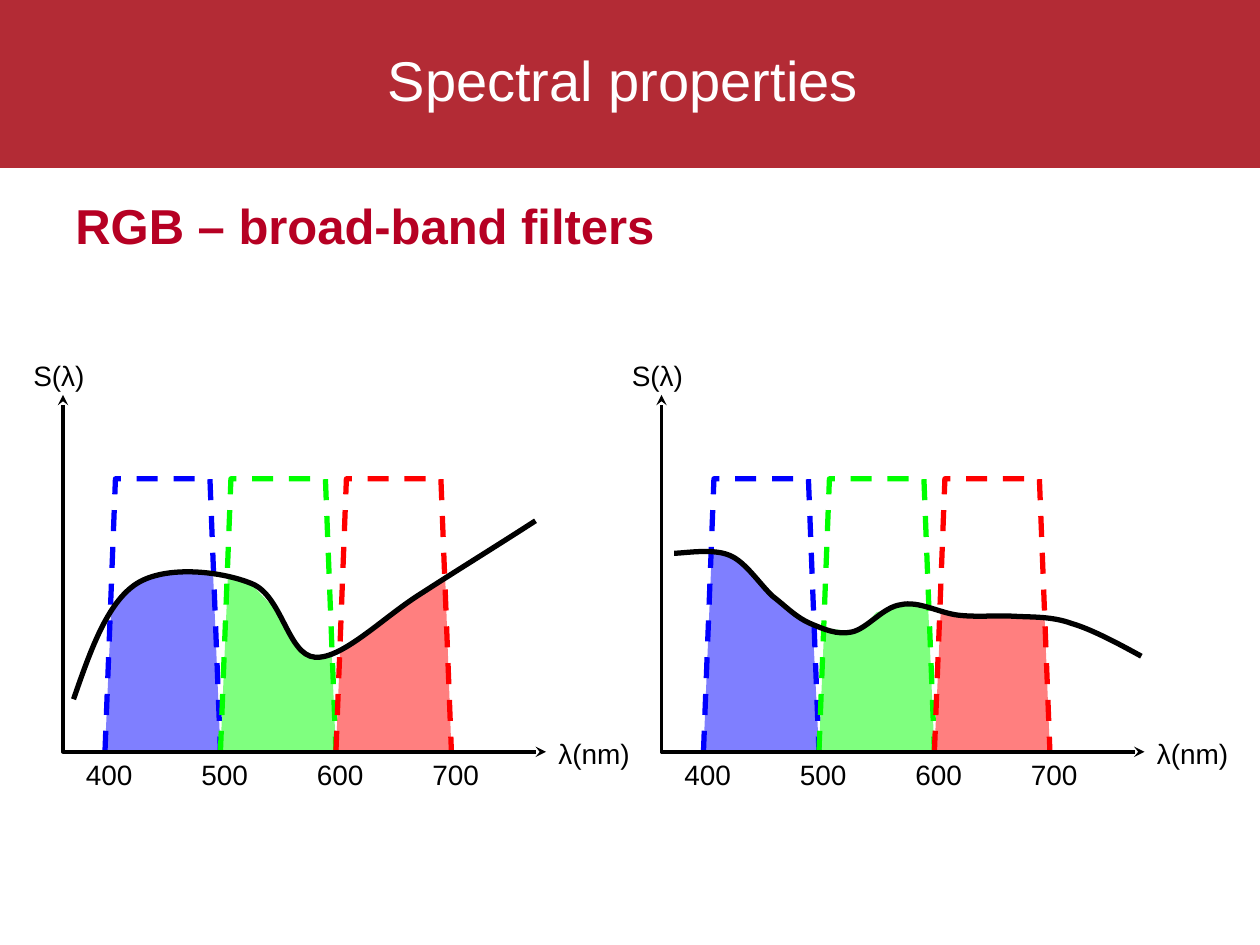
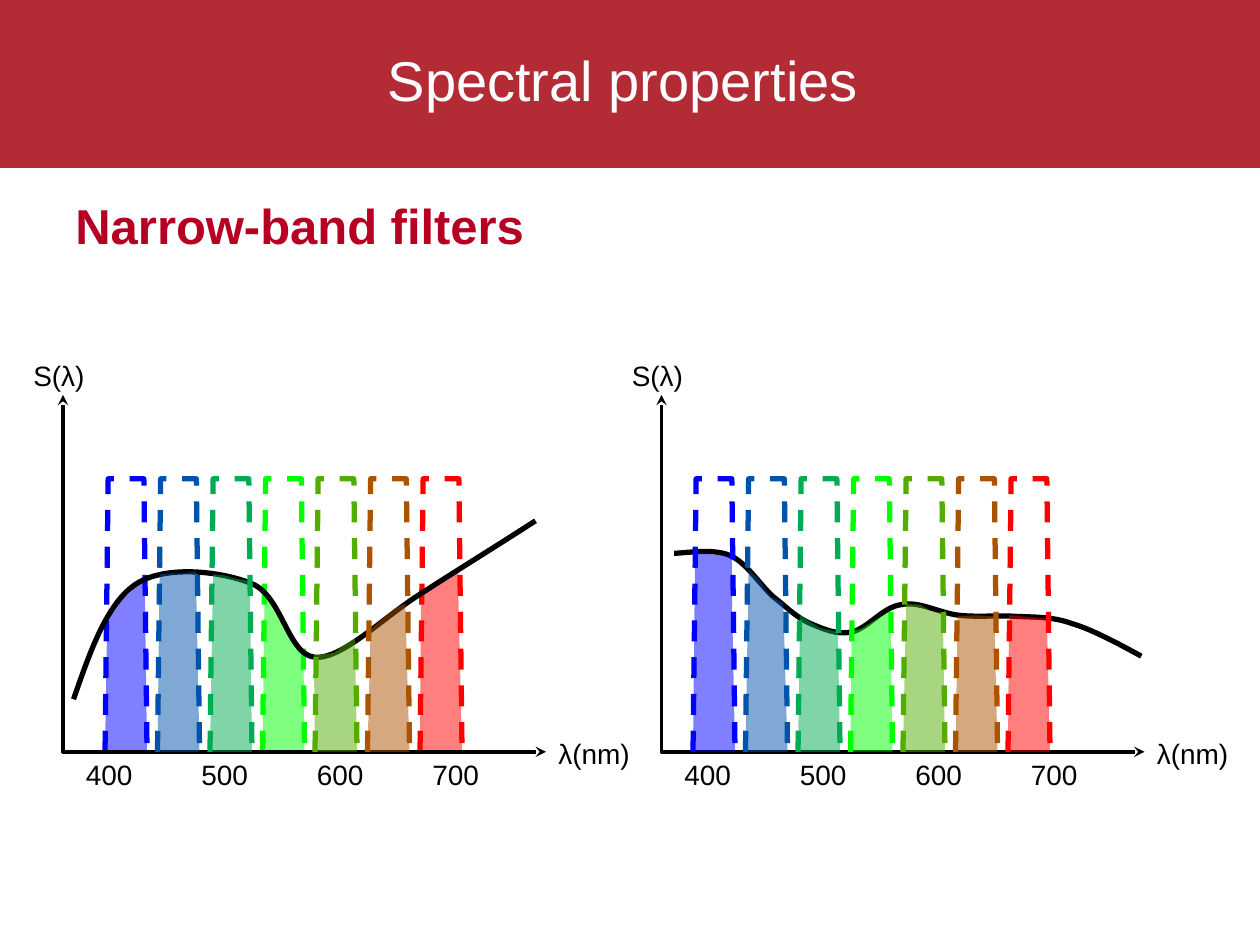
from dataclasses import dataclass

from lxml.etree import SubElement
from pptx import Presentation
from pptx.dml.color import RGBColor
from pptx.enum.dml import MSO_LINE
from pptx.enum.shapes import MSO_SHAPE as Preset
from pptx.enum.text import MSO_ANCHOR as Anchor
from pptx.enum.text import MSO_AUTO_SIZE as AutoSize
from pptx.enum.text import PP_ALIGN as Align
from pptx.oxml.ns import qn
from pptx.util import Pt

PX = 7620  # EMU per px, 120 px to the inch


@dataclass(frozen=True)
class Theme:
    font: str = "Arial"
    banner: str = "B32B35"
    title: str = "FFFFFF"
    heading: str = "B60023"
    ink: str = "000000"
    title_size: int = 32
    heading_size: int = 28
    label_size: int = 16
    curve_width: int = 3
    axis_width: int = 2
    area_opacity: int = 50


THEME = Theme()

# ---- Content ----
TITLE = "Spectral properties"
WAVELENGTHS = ["400", "500", "600", "700"]
X_LABEL, Y_LABEL = "λ(nm)", "S(λ)"

BLUE, GREEN, RED = "0000FF", "00FF00", "FF0000"
STEEL, TEAL, OLIVE, BROWN = "0053AC", "00AC53", "53AC00", "AC5300"

# Each plot: left end of its axis and the Bezier points of its spectrum
PLOTS = [
    (60, [(70, 666), (86, 620), (102, 574), (130, 556), (158, 538), (211, 544), (240, 556),
          (269, 568), (274, 624), (300, 626), (326, 628), (365, 588), (400, 566),
          (434, 544), (473, 520), (510, 496)]),
    (630, [(642, 527), (652, 527), (679, 522), (695, 529), (710, 535), (724, 557), (736, 568),
           (749, 578), (758, 588), (772, 594), (784, 599), (797, 605), (811, 602),
           (826, 599), (841, 578), (858, 576), (875, 572), (895, 584), (913, 586),
           (931, 588), (948, 586), (966, 587), (984, 588), (1002, 587), (1021, 594),
           (1042, 600), (1074, 618), (1087, 625)]),
]

# Filters of each plot: colour and upper edge of the filled area, by wavelength
BROAD = [
    [(BLUE, [(106, 580), (130, 556), (160, 546), (190, 546), (203, 546)]),
     (GREEN, [(217, 551), (240, 557), (265, 583), (283, 616), (298, 624), (316, 623)]),
     (RED, [(324, 619), (364, 593), (395, 570), (413, 557), (424, 548)])],
    [(BLUE, [(678, 524), (697, 528), (727, 557), (758, 586), (774, 594)]),
     (GREEN, [(785, 598), (817, 602), (835, 583), (863, 576), (884, 577), (886, 623)]),
     (RED, [(896, 584), (922, 588), (953, 586), (982, 588), (995, 590)])],
]
NARROW = [
    [(BLUE, [(102, 595), (110, 575), (122, 566), (137, 551), (138, 566)]),
     (STEEL, [(152, 547), (164, 546), (174, 546), (187, 544), (187, 566)]),
     (TEAL, [(203, 547), (214, 548), (224, 551), (236, 553), (238, 554)]),
     (GREEN, [(252, 562), (263, 575), (271, 598), (289, 620)]),
     (OLIVE, [(299, 624), (310, 623), (318, 622), (328, 614), (338, 608)]),
     (BROWN, [(353, 600), (360, 593), (368, 586), (378, 578), (386, 575)]),
     (RED, [(401, 566), (436, 545)])],
    [(BLUE, [(662, 526), (676, 528), (689, 529), (697, 530), (697, 562)]),
     (STEEL, [(713, 542), (724, 553), (728, 560), (734, 568), (746, 574)]),
     (TEAL, [(762, 586), (781, 598), (798, 602)]),
     (GREEN, [(811, 602), (822, 598), (836, 589), (848, 582)]),
     (OLIVE, [(863, 575), (876, 576), (887, 582), (898, 584)]),
     (BROWN, [(912, 587), (929, 586), (947, 587)]),
     (RED, [(961, 586), (997, 589)])],
]

# starts: first filter of each plot; behind: colours drawn under each curve
SLIDES = [
    dict(heading="RGB – broad-band filters", filters=BROAD, starts=(100, 670),
         step=110, width=110, inset=10, behind=[{BLUE, GREEN, RED}] * 2),
    dict(heading="Narrow-band filters", filters=NARROW, starts=(100, 660),
         step=50, width=40, inset=3, behind=[{BLUE, GREEN, RED}, set()]),
]

# ---- Layout, in px ----
BANNER_BOX = (0, 0, 1200, 160)
TITLE_BOX = (90, 20, 1019, 110)
HEADING_BOX = (60, 180, 630, 68)
BASE_Y, FILTER_TOP, AXIS_TOP = 716, 456, 376
AXIS_LENGTH, TICK_STEP = 460, 110
LABEL_HEIGHT = 44


# ---- Helpers ----
def rgb(colour):
    return RGBColor.from_string(colour)


def emu(box):
    return [n * PX for n in box]


def write(paragraph, text, size, colour, bold=False):
    run = paragraph.add_run()
    run.text = text
    run.font.name = THEME.font
    run.font.size = Pt(size)
    run.font.bold = bold
    run.font.color.rgb = rgb(colour)


def add_text(slide, box, text, size, colour, bold=False, wrap=False):
    label = slide.shapes.add_textbox(*emu(box))
    label.text_frame.word_wrap = wrap
    label.text_frame.auto_size = AutoSize.SHAPE_TO_FIT_TEXT
    write(label.text_frame.paragraphs[0], text, size, colour, bold)
    return label


def add_outline(slide, points, close=False):
    builder = slide.shapes.build_freeform(*points[0], scale=PX)
    builder.add_line_segments(points[1:], close=close)
    outline = builder.convert_to_shape()
    outline.shadow.inherit = False
    return outline


def add_stroke(slide, points, colour, width):
    stroke = add_outline(slide, points)
    stroke.fill.background()
    stroke.line.color.rgb = rgb(colour)
    stroke.line.width = Pt(width)
    return stroke


def add_curve(slide, points):
    curve = add_stroke(slide, points, THEME.ink, THEME.curve_width)
    segments = list(curve.element.iter(qn("a:lnTo")))
    parent = segments[0].getparent()
    for i in range(0, len(segments), 3):  # three points make one Bezier piece
        bezier = SubElement(parent, qn("a:cubicBezTo"))
        for segment in segments[i:i + 3]:
            bezier.append(segment[0])
            parent.remove(segment)
    return curve


# ---- Parts ----
def add_filter(slide, left, width, inset, colour, top_edge):
    right = left + width
    area = add_outline(slide, [(left, BASE_Y), *top_edge, (right, BASE_Y)], close=True)
    area.fill.solid()
    area.fill.fore_color.rgb = rgb(colour)
    alpha = SubElement(next(area.element.iter(qn("a:srgbClr"))), qn("a:alpha"))
    alpha.set("val", str(THEME.area_opacity * 1000))
    area.line.fill.background()

    passband = add_stroke(slide, [(left, BASE_Y), (left + inset, FILTER_TOP),
                                  (right - inset, FILTER_TOP), (right, BASE_Y)],
                          colour, THEME.curve_width)
    passband.line.dash_style = MSO_LINE.DASH
    slide.shapes.add_group_shape([area, passband])


def add_plot(slide, axis_x, spectrum):
    axis_end = axis_x + AXIS_LENGTH
    curve = add_curve(slide, spectrum)
    axes = add_stroke(slide, [(axis_end, BASE_Y), (axis_x, BASE_Y), (axis_x, AXIS_TOP)],
                      THEME.ink, THEME.axis_width)
    for end in ("a:headEnd", "a:tailEnd"):
        SubElement(axes.element.spPr.find(qn("a:ln")), qn(end)).set("type", "stealth")

    labels = [(axis_x + 10 + i * TICK_STEP, BASE_Y, 68, text)
              for i, text in enumerate(WAVELENGTHS)]
    labels += [(axis_end, BASE_Y - 20, 94, X_LABEL),
               (axis_x - 40, AXIS_TOP - 40, 74, Y_LABEL)]
    texts = [add_text(slide, (x, y, width, LABEL_HEIGHT), text, THEME.label_size, THEME.ink)
             for x, y, width, text in labels]
    slide.shapes.add_group_shape([curve, axes, *texts])


def add_filters(slide, content, plot, under_curve):
    for i, (colour, top_edge) in enumerate(content["filters"][plot]):
        if (colour in content["behind"][plot]) == under_curve:
            left = content["starts"][plot] + i * content["step"]
            add_filter(slide, left, content["width"], content["inset"], colour, top_edge)


def add_title(slide):
    title = slide.shapes.title
    title.left, title.top, title.width, title.height = emu(TITLE_BOX)
    frame = title.text_frame
    frame.auto_size = AutoSize.NONE
    frame.word_wrap = True
    frame.vertical_anchor = Anchor.MIDDLE
    frame.margin_left = 0
    frame.paragraphs[0].alignment = Align.CENTER
    write(frame.paragraphs[0], TITLE, THEME.title_size, THEME.title)


def add_banner(slide):
    """Draw the banner and move it to the layout, so that all slides share it."""
    banner = slide.shapes.add_shape(Preset.RECTANGLE, *emu(BANNER_BOX))
    banner.shadow.inherit = False
    banner.fill.solid()
    banner.fill.fore_color.rgb = rgb(THEME.banner)
    banner.line.fill.background()
    slide.slide_layout.shapes.element.insert(2, banner.element)


def main():
    prs = Presentation()
    prs.slide_width, prs.slide_height = emu((1200, 900))
    title_only = prs.slide_layouts[5]
    for number, content in enumerate(SLIDES):
        slide = prs.slides.add_slide(title_only)
        if number == 0:
            add_banner(slide)
        add_title(slide)
        for plot, (axis_x, spectrum) in enumerate(PLOTS):
            add_filters(slide, content, plot, under_curve=True)
            add_plot(slide, axis_x, spectrum)
        for plot in range(len(PLOTS)):
            add_filters(slide, content, plot, under_curve=False)
        add_text(slide, HEADING_BOX, content["heading"], THEME.heading_size,
                 THEME.heading, bold=True, wrap=True)
    prs.save("out.pptx")


if __name__ == "__main__":
    main()
